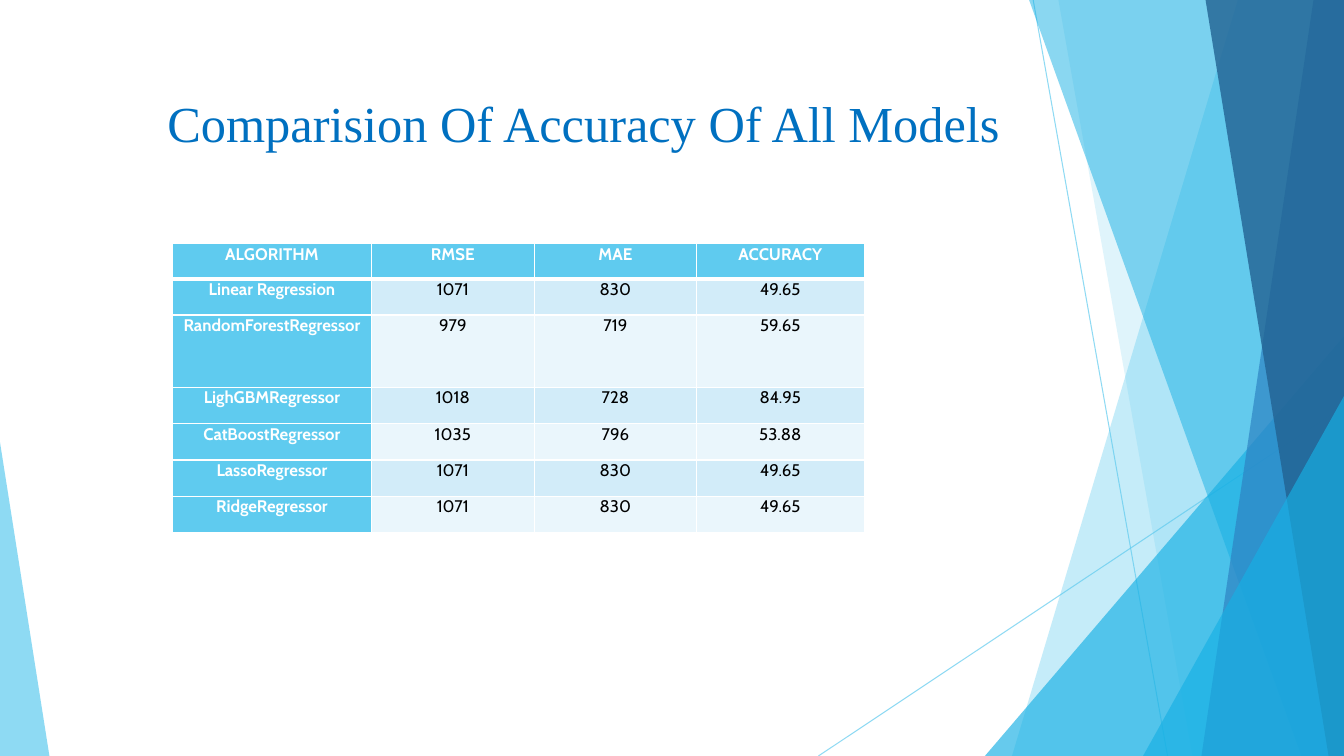
from lxml import etree
from pptx import Presentation
from pptx.dml.color import RGBColor
from pptx.enum.shapes import MSO_CONNECTOR, MSO_SHAPE
from pptx.enum.text import MSO_ANCHOR, MSO_AUTO_SIZE, PP_ALIGN
from pptx.oxml import parse_xml
from pptx.oxml.ns import qn
from pptx.util import Pt

STRAIGHT = MSO_CONNECTOR.STRAIGHT
TRIANGLE = MSO_SHAPE.ISOSCELES_TRIANGLE
BOTTOM = MSO_ANCHOR.BOTTOM
NO_AUTOFIT = MSO_AUTO_SIZE.NONE
LEFT, CENTER = PP_ALIGN.LEFT, PP_ALIGN.CENTER
NAMESPACE = "http://schemas.openxmlformats.org/drawingml/2006/main"

WIDTH, HEIGHT = 960, 540
SKY, CYAN, BLUE, NAVY = "5FCBEF", "17B0E4", "2E83C3", "226292"
WHITE, BLACK, TITLE_BLUE = "FFFFFF", "000000", "0070C0"
BAND_FILLS = ["EAF6FC", "D2ECF9"]


def paint(color_format, color, opacity=100):
    """Set a hex colour, with its opacity in percent."""
    color_format.rgb = RGBColor.from_string(color)
    if opacity < 100:
        color_element = color_format._xFill.find(qn("a:srgbClr"))
        alpha = etree.SubElement(color_element, qn("a:alpha"))
        alpha.set("val", str(opacity * 1000))


def add_cell_borders(cell, bottom_width):
    """Give a cell white 1 pt borders and a bottom border of its own width."""
    properties = cell._tc.get_or_add_tcPr()
    widths = {"lnL": 1, "lnR": 1, "lnT": 1, "lnB": bottom_width}
    for index, (tag, width) in enumerate(widths.items()):
        properties.insert(index, parse_xml(
            f'<a:{tag} xmlns:a="{NAMESPACE}" w="{Pt(width)}"><a:solidFill>'
            f'<a:srgbClr val="{WHITE}"/></a:solidFill></a:{tag}>'))


presentation = Presentation()
presentation.slide_width = Pt(WIDTH)
presentation.slide_height = Pt(HEIGHT)
slide = presentation.slides.add_slide(presentation.slide_layouts[5])

# Thin diagonal lines
for line_ends in [(738, 0, 834, HEIGHT), (WIDTH, 290, 584.6, HEIGHT)]:
    connector = slide.shapes.add_connector(STRAIGHT, *map(Pt, line_ends))
    connector.line.width = Pt(0.75)
    connector.line.fill.solid()
    paint(connector.line.fill.fore_color, SKY, 70)
    etree.SubElement(connector._element.spPr, qn("a:effectLst"))

# Facets, back to front: a band has its left edge's top and bottom x,
# a triangle has left, top, width, height and apex position
facets = [
    ((884.2, 722.9), SKY, 36),
    ((756, 851.8), SKY, 20),
    ((703.5, 240, 256.5, 300, 1), CYAN, 66),
    ((735.1, 929.5), CYAN, 50),
    ((938.2, 858.2), BLUE, 70),
    ((861.1, 949), NAVY, 80),
    ((816.5, 283, 143.5, 257, 1), CYAN, 66),
    ((0, 316, 35.3, 224, 0), SKY, 70),
]
for geometry, color, opacity in facets:
    if len(geometry) == 2:
        top_x, bottom_x = geometry
        builder = slide.shapes.build_freeform(Pt(top_x), 0)
        corners = [(WIDTH, 0), (WIDTH, HEIGHT), (bottom_x, HEIGHT)]
        builder.add_line_segments([(Pt(x), Pt(y)) for x, y in corners], close=True)
        facet = builder.convert_to_shape()
    else:
        *box, apex = geometry
        facet = slide.shapes.add_shape(TRIANGLE, *map(Pt, box))
        facet.adjustments[0] = apex
    facet.shadow.inherit = False
    facet.line.fill.background()
    facet.fill.solid()
    paint(facet.fill.fore_color, color, opacity)

# Title
title = slide.shapes.title
title.left, title.top, title.width, title.height = map(Pt, (112.3, 61.2, 616.3, 51.1))
title_frame = title.text_frame
title_frame.text = "Comparision Of Accuracy Of All Models"
title_frame.auto_size = NO_AUTOFIT
title_frame.vertical_anchor = BOTTOM
title_paragraph = title_frame.paragraphs[0]
title_paragraph.alignment = LEFT
title_font = title_paragraph.runs[0].font
title_font.name = "Times New Roman"
title_font.size = Pt(36)
paint(title_font.color, TITLE_BLUE)

# Model scores
scores = [
    ("ALGORITHM", "RMSE", "MAE", "ACCURACY"),
    ("Linear Regression", "1071", "830", "49.65"),
    ("RandomForestRegressor", "979", "719", "59.65"),
    ("LighGBMRegressor", "1018", "728", "84.95"),
    ("CatBoostRegressor", "1035", "796", "53.88"),
    ("LassoRegressor", "1071", "830", "49.65"),
    ("RidgeRegressor", "1071", "830", "49.65"),
]
column_widths = [141.8, 116.6, 115.6, 120]
row_heights = [25, 25.9, 51.8] + [25.9] * 4
table = slide.shapes.add_table(
    len(scores), len(column_widths), Pt(123.4), Pt(174.2),
    Pt(sum(column_widths)), Pt(sum(row_heights))).table
for column, width in zip(table.columns, column_widths):
    column.width = Pt(width)
for row, height in zip(table.rows, row_heights):
    row.height = Pt(height)

for row_index, values in enumerate(scores):
    for column_index, value in enumerate(values):
        is_heading = row_index == 0 or column_index == 0
        cell = table.cell(row_index, column_index)
        cell.margin_left = cell.margin_right = Pt(5)
        cell.margin_top = cell.margin_bottom = 0
        cell.fill.solid()
        paint(cell.fill.fore_color, SKY if is_heading else BAND_FILLS[row_index % 2])
        add_cell_borders(cell, 3 if row_index == 0 else 1)
        cell.text_frame.text = value
        paragraph = cell.text_frame.paragraphs[0]
        paragraph.alignment = CENTER
        font = paragraph.runs[0].font
        font.name = "Cabin"
        font.size = Pt(12)
        font.bold = is_heading
        paint(font.color, WHITE if is_heading else BLACK)

presentation.save("out.pptx")
